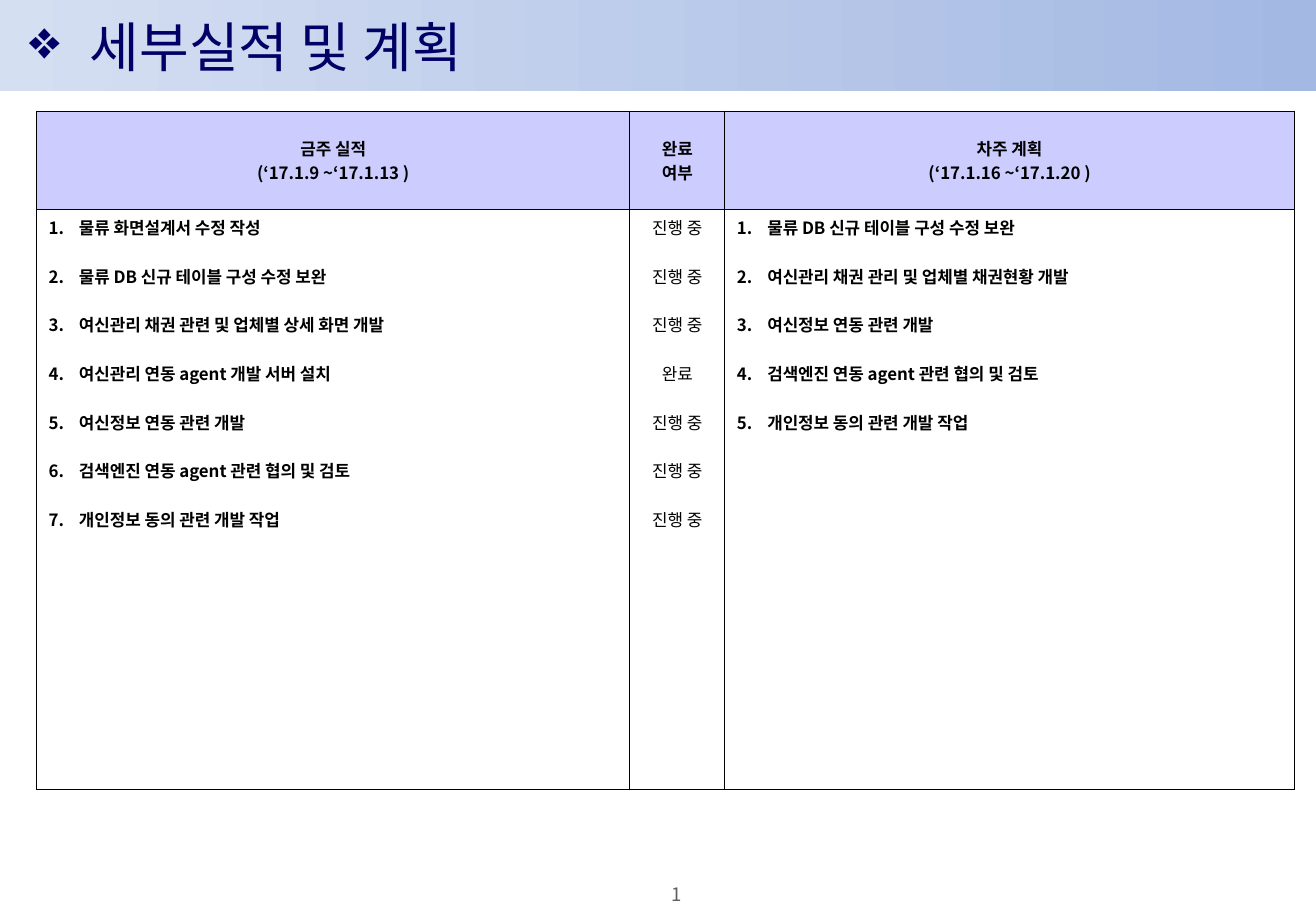
import pptx
import pptx.dml.color
import pptx.enum.shapes
import pptx.enum.text
import pptx.oxml
import pptx.oxml.ns
import pptx.util

Pt = pptx.util.Pt
RGBColor = pptx.dml.color.RGBColor
ALIGN = pptx.enum.text.PP_ALIGN
ANCHOR = pptx.enum.text.MSO_ANCHOR

FONT = "Noto Sans CJK KR"
BLACK = RGBColor(0x00, 0x00, 0x00)
NAVY = RGBColor(0x00, 0x00, 0x66)
GREY = RGBColor(0x5F, 0x5F, 0x5F)
LAVENDER = RGBColor(0xCC, 0xCC, 0xFF)
BAND_LEFT = RGBColor(0xD5, 0xDF, 0xF2)
BAND_RIGHT = RGBColor(0xA3, 0xB8, 0xE3)

SLIDE_WIDTH, SLIDE_HEIGHT = Pt(780), Pt(540)
BAND_HEIGHT = Pt(54)
COLUMN_WIDTHS = [Pt(351.7), Pt(56.3), Pt(337.6)]
ROW_HEIGHTS = [Pt(58.2), Pt(344.2)]
ITEM_GAP = Pt(14.4)

HEADERS = [
    ["금주 실적", "(‘17.1.9 ~‘17.1.13 )"],
    ["완료", "여부"],
    ["차주 계획", "(‘17.1.16 ~‘17.1.20 )"],
]
THIS_WEEK = [
    ("물류 화면설계서 수정 작성", "진행 중"),
    ("물류 DB 신규 테이블 구성 수정 보완", "진행 중"),
    ("여신관리 채권 관련 및 업체별 상세 화면 개발", "진행 중"),
    ("여신관리 연동 agent 개발 서버 설치", "완료"),
    ("여신정보 연동 관련 개발", "진행 중"),
    ("검색엔진 연동 agent 관련 협의 및 검토", "진행 중"),
    ("개인정보 동의 관련 개발 작업", "진행 중"),
]
NEXT_WEEK = [
    "물류 DB 신규 테이블 구성 수정 보완",
    "여신관리 채권 관리 및 업체별 채권현황 개발",
    "여신정보 연동 관련 개발",
    "검색엔진 연동 agent 관련 협의 및 검토",
    "개인정보 동의 관련 개발 작업",
]


def add_xml(parent, tag, **attributes):
    child = pptx.oxml.parse_xml(f"<a:{tag} {pptx.oxml.ns.nsdecls('a')}/>")
    for name, value in attributes.items():
        child.set(name, str(value))
    parent.append(child)
    return child


def add_bullet(paragraph, indent, tag, **attributes):
    properties = paragraph._p.get_or_add_pPr()
    properties.set("marL", str(indent))
    properties.set("indent", str(-indent))
    add_xml(properties, tag, **attributes)


def style_paragraph(paragraph, size, color, bold=False, align=ALIGN.LEFT):
    paragraph.alignment = align
    font = paragraph.font
    font.size, font.bold, font.name = Pt(size), bold, FONT
    font.color.rgb = color
    defaults = paragraph._p.pPr.find(pptx.oxml.ns.qn("a:defRPr"))
    add_xml(defaults, "ea", typeface=FONT)


def add_title_band(slide):
    band = slide.shapes.add_shape(
        pptx.enum.shapes.MSO_SHAPE.RECTANGLE, 0, 0, SLIDE_WIDTH, BAND_HEIGHT)
    band.shadow.inherit = False
    band.line.fill.background()
    band.fill.gradient()
    band.fill.gradient_angle = 0
    for stop, color in zip(band.fill.gradient_stops, (BAND_LEFT, BAND_RIGHT)):
        stop.color.rgb = color


def set_title(slide, text):
    title = slide.shapes.title
    title.left, title.top, title.width, title.height = Pt(10.1), 0, Pt(509.8), BAND_HEIGHT
    slide.shapes._spTree.append(title._element)
    frame = title.text_frame
    frame.text = text
    frame.auto_size = pptx.enum.text.MSO_AUTO_SIZE.NONE
    frame.vertical_anchor = ANCHOR.MIDDLE
    add_bullet(frame.paragraphs[0], Pt(36), "buChar", char="❖")
    style_paragraph(frame.paragraphs[0], 32, NAVY)


def add_border(cell):
    properties = cell._tc.get_or_add_tcPr()
    for side in ("lnL", "lnR", "lnT", "lnB"):
        line = add_xml(properties, side, w=Pt(0.5))
        add_xml(add_xml(line, "solidFill"), "srgbClr", val=BLACK)


def fill_cell(cell, lines, bold=True, align=ALIGN.CENTER, gap=0, numbered=False):
    cell.text = "\n".join(lines)
    for position, paragraph in enumerate(cell.text_frame.paragraphs):
        paragraph.space_before = gap if position else 0
        if numbered:
            add_bullet(paragraph, Pt(18), "buAutoNum", type="arabicPeriod")
        style_paragraph(paragraph, 10, BLACK, bold, align)


def add_report_table(slide):
    report = slide.shapes.add_table(
        2, 3, Pt(21.6), Pt(65.8), sum(COLUMN_WIDTHS), sum(ROW_HEIGHTS)).table
    report.first_row = report.horz_banding = False
    for column, width in zip(report.columns, COLUMN_WIDTHS):
        column.width = width
    for row, height in zip(report.rows, ROW_HEIGHTS):
        row.height = height
    for cell in report.iter_cells():
        add_border(cell)
        cell.fill.background()
    for index, lines in enumerate(HEADERS):
        header = report.cell(0, index)
        header.fill.solid()
        header.fill.fore_color.rgb = LAVENDER
        header.vertical_anchor = ANCHOR.MIDDLE
        fill_cell(header, lines)
    tasks, statuses = zip(*THIS_WEEK)
    for index, items in ((0, tasks), (2, NEXT_WEEK)):
        fill_cell(report.cell(1, index), items, align=ALIGN.LEFT, gap=ITEM_GAP, numbered=True)
    fill_cell(report.cell(1, 1), statuses, bold=False, gap=ITEM_GAP)


def add_page_number(slide):
    frame = slide.shapes.add_textbox(Pt(367.2), Pt(523.4), Pt(67.7), Pt(13)).text_frame
    frame.margin_left = frame.margin_right = frame.margin_top = frame.margin_bottom = 0
    frame.word_wrap = True
    frame.vertical_anchor = ANCHOR.MIDDLE
    paragraph = frame.paragraphs[0]
    style_paragraph(paragraph, 11, GREY, align=ALIGN.CENTER)
    field = add_xml(
        paragraph._p, "fld", id="{B6F15528-21DE-4FAA-801E-634DDDAF4B2B}", type="slidenum")
    add_xml(field, "rPr", lang="ko-KR")
    add_xml(field, "t").text = "1"


def main():
    presentation = pptx.Presentation()
    presentation.slide_width, presentation.slide_height = SLIDE_WIDTH, SLIDE_HEIGHT
    slide = presentation.slides.add_slide(presentation.slide_layouts[5])
    add_title_band(slide)
    add_page_number(slide)
    set_title(slide, "세부실적 및 계획")
    add_report_table(slide)
    presentation.save("out.pptx")


if __name__ == "__main__":
    main()
